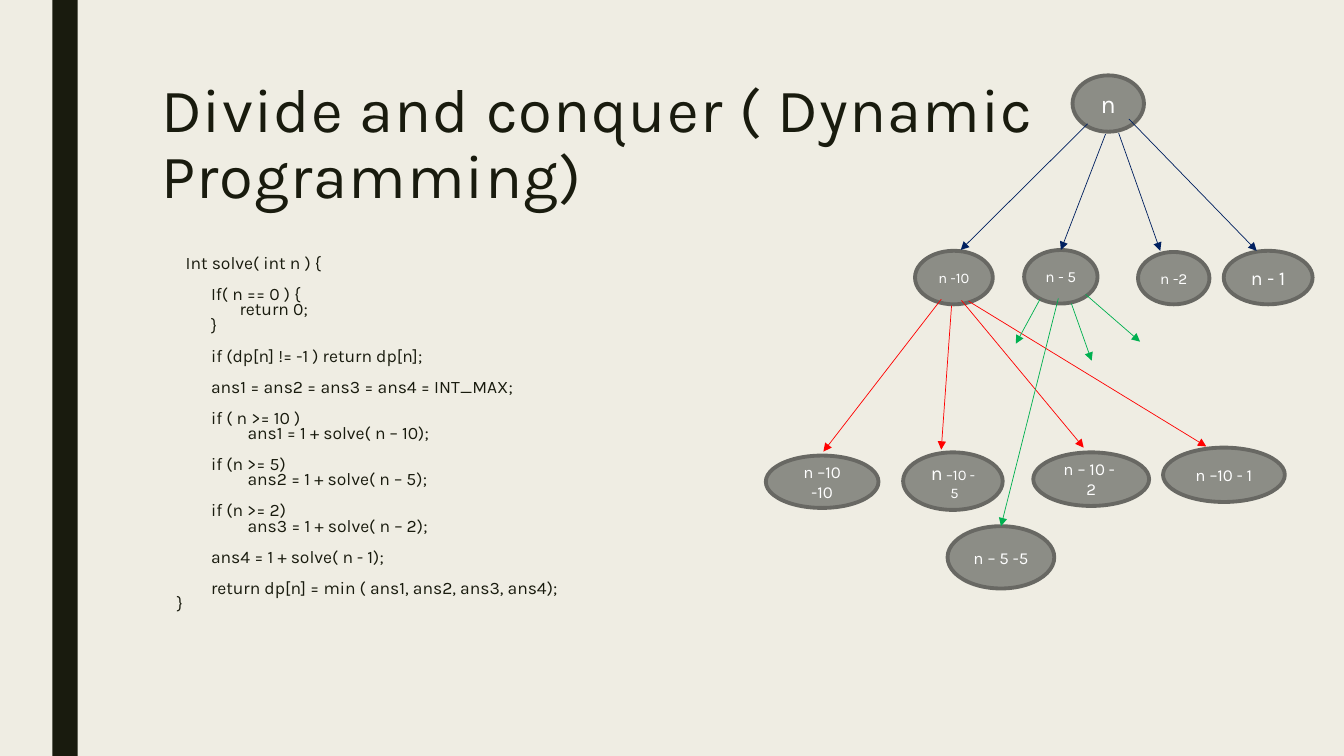
"""Builds a slide that pairs a recursive solution with its call tree."""
from lxml import etree
from pptx import Presentation
from pptx.dml.color import RGBColor
from pptx.enum.shapes import MSO_CONNECTOR, MSO_SHAPE
from pptx.enum.text import MSO_ANCHOR, PP_ALIGN
from pptx.oxml.ns import qn
from pptx.util import Cm, Pt

RECTANGLE, OVAL = MSO_SHAPE.RECTANGLE, MSO_SHAPE.OVAL
STRAIGHT = MSO_CONNECTOR.STRAIGHT
LEFT, CENTER = PP_ALIGN.LEFT, PP_ALIGN.CENTER
MIDDLE = MSO_ANCHOR.MIDDLE
FONT = "Karla"
TOP_SITE = 0
COLORS = {
    "background": "EFEDE3", "ink": "191B0E", "node": "8C8D86", "outline": "686863",
    "white": "FFFFFF", "navy": "002060", "red": "FF0000", "green": "00B050",
}
GAP = 11
CODE = [
    ("Int solve( int n ) {", 0.62, 0),
    ("If( n == 0 ) {", 1.26, GAP),
    ("return 0;", 1.98, 0),
    ("}", 1.26, 0),
    ("if (dp[n] != -1 ) return dp[n];", 1.26, GAP),
    ("ans1 = ans2 = ans3 = ans4 = INT_MAX;", 1.26, GAP),
    ("if ( n >= 10 )", 1.26, GAP),
    ("ans1 = 1 + solve( n – 10);", 2.18, 0),
    ("if (n >= 5)", 1.26, GAP),
    ("ans2 = 1 + solve( n – 5);", 2.18, 0),
    ("if (n >= 2)", 1.26, GAP),
    ("ans3 = 1 + solve( n – 2);", 2.18, 0),
    ("ans4 = 1 + solve( n - 1);", 1.26, GAP),
    ("return dp[n] = min ( ans1, ans2, ans3, ans4);", 1.26, GAP),
    ("}", 0.4, 0),
]
NODES = [
    ([("n", 18)], (27.03, 1.9, 1.8, 1.42), False),
    ([("n -10", 10.5)], (23.06, 6.32, 1.96, 1.35), False),
    ([("n - 5", 11)], (25.81, 6.3, 1.85, 1.35), False),
    ([("n -2", 11)], (28.68, 6.35, 1.8, 1.32), False),
    ([("n - 1", 14)], (30.84, 6.32, 2.24, 1.35), False),
    ([("n –10 -10", 12)], (19.3, 11.48, 2.84, 1.32), True),
    ([("n", 14), (" –10 -\u00a05", 10.5)], (22.76, 11.4, 2.51, 1.45), True),
    ([("n – 10 -\u00a0 2", 12)], (26.04, 11.4, 2.92, 1.35), True),
    ([("n –10 - 1", 12)], (29.31, 11.28, 3.07, 1.37), False),
    ([("n – 5 -5", 12)], (23.88, 13.26, 2.69, 1.57), False),
]
CALLS = {
    "navy": [
        (28.45, 3, 31.67, 6.32, None), (28.19, 3.35, 29.24, 6.32, None),
        (27.86, 3.38, 26.7, 6.27, "n - 5"), (27.41, 3.12, 24.21, 6.3, None),
    ],
    "red": [
        (23.72, 7.54, 20.75, 11.38, None), (23.98, 7.7, 23.72, 11.33, None),
        (24.23, 7.57, 27.31, 11.28, None), (24.41, 7.59, 30.4, 11.25, None),
    ],
    "green": [
        (27.36, 7.42, 28.73, 8.61, None), (27, 7.65, 27.51, 9.09, None),
        (26.67, 7.52, 25.25, 13.23, "n – 5 -5"), (26.21, 7.54, 25.6, 8.66, None),
    ],
}


def rgb(name):
    """Return the named colour."""
    return RGBColor.from_string(COLORS[name])


def write(paragraph, text, size, color="ink", align=LEFT, line_spacing=1.0,
          before=0, indent=0, tracking=0):
    """Add a formatted run to a paragraph."""
    paragraph.alignment = align
    paragraph.line_spacing = line_spacing
    paragraph.space_before = Pt(before)
    if indent:
        paragraph._p.get_or_add_pPr().set("marL", str(Cm(indent)))
    run = paragraph.add_run()
    run.text = text
    run.font.name = FONT
    run.font.size = Pt(size)
    run.font.color.rgb = rgb(color)
    if tracking:
        run._r.get_or_add_rPr().set("spc", str(tracking))


def add_text_box(slide, *box):
    """Add a wrapping text box and return its frame."""
    frame = slide.shapes.add_textbox(*map(Cm, box)).text_frame
    frame.word_wrap = True
    return frame


def add_code(slide):
    """Add the code listing, one paragraph a line."""
    frame = add_text_box(slide, 3.81, 6.35, 11.96, 9.96)
    for index, (text, indent, before) in enumerate(CODE):
        paragraph = frame.add_paragraph() if index else frame.paragraphs[0]
        write(paragraph, text, 12.5, line_spacing=0.74, before=before, indent=indent)


def add_filled(slide, kind, box, fill):
    """Add a flat preset shape without an outline."""
    shape = slide.shapes.add_shape(kind, *map(Cm, box))
    shape.shadow.inherit = False
    shape.fill.solid()
    shape.fill.fore_color.rgb = rgb(fill)
    shape.line.fill.background()
    return shape


def add_node(slide, runs, box, wrap):
    """Add one labelled oval of the call tree."""
    node = add_filled(slide, OVAL, box, "node")
    node.line.color.rgb = rgb("outline")
    node.line.width = Pt(2.75)
    frame = node.text_frame
    frame.word_wrap = wrap
    frame.vertical_anchor = MIDDLE
    for text, size in runs:
        write(frame.paragraphs[0], text, size, color="white", align=CENTER)
    return node


def add_arrow(slide, points, color, target=None):
    """Add a thin arrow, joined to the top of its target if there is one."""
    arrow = slide.shapes.add_connector(STRAIGHT, *map(Cm, points))
    if target is not None:
        arrow.end_connect(target, TOP_SITE)
    arrow.line.color.rgb = rgb(color)
    arrow.line.width = Pt(0.5)
    line = arrow.line._get_or_add_ln()
    etree.SubElement(line, qn("a:tailEnd"), type="triangle")
    etree.SubElement(arrow._element.spPr, qn("a:effectLst"))


def main():
    """Build and save the slide."""
    presentation = Presentation()
    presentation.slide_width, presentation.slide_height = Cm(33.87), Cm(19.05)
    slide = presentation.slides.add_slide(presentation.slide_layouts[6])
    slide.background.fill.solid()
    slide.background.fill.fore_color.rgb = rgb("background")

    add_filled(slide, RECTANGLE, (1.32, 0, 0.64, 19.05), "ink")
    title = add_text_box(slide, 3.81, 1.9, 26.67, 4.11)
    write(title.paragraphs[0], "Divide and conquer ( Dynamic Programming)", 44,
          line_spacing=0.89, tracking=80)
    add_code(slide)

    nodes = {}
    for runs, box, wrap in NODES:
        label = "".join(text for text, _ in runs)
        nodes[label] = add_node(slide, runs, box, wrap)
    for color, arrows in CALLS.items():
        for *points, target in arrows:
            add_arrow(slide, points, color, nodes.get(target))
    presentation.save("out.pptx")


if __name__ == "__main__":
    main()
